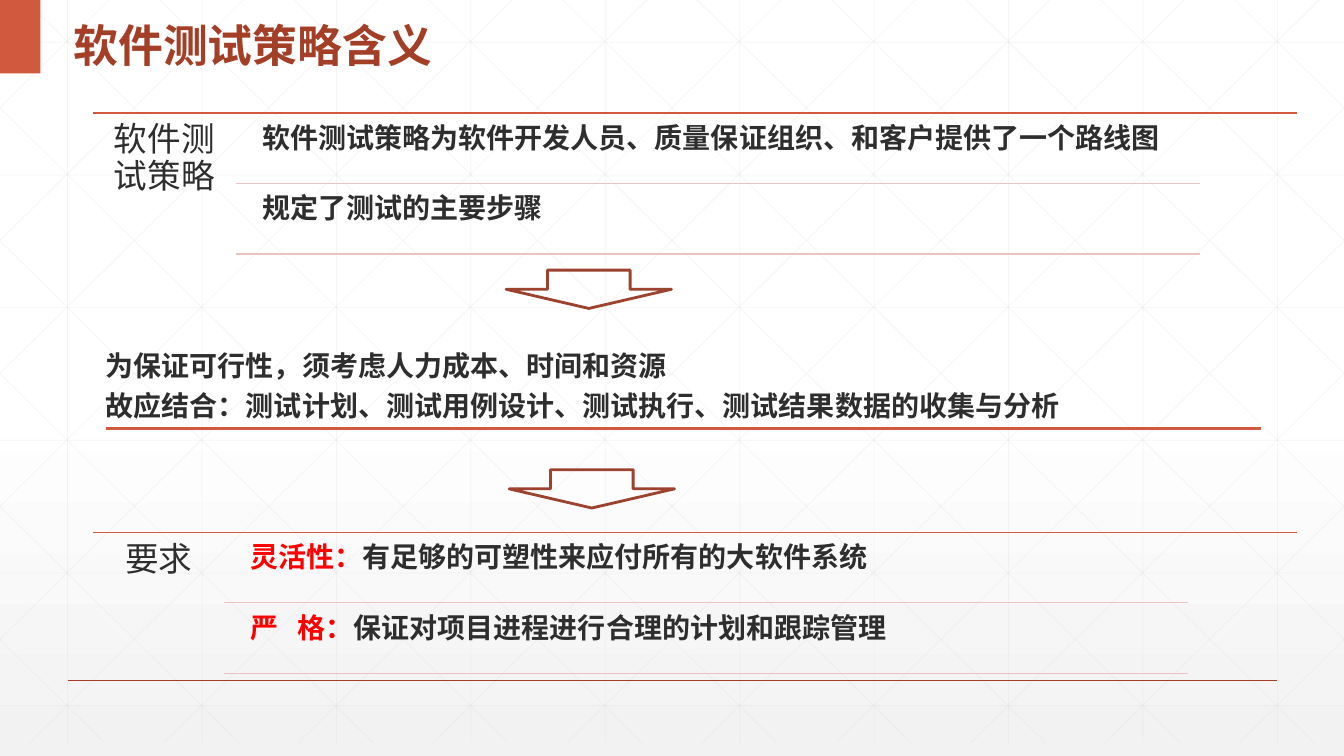
from dataclasses import dataclass

from lxml.etree import SubElement
from pptx import Presentation
from pptx.dml.color import RGBColor
from pptx.enum.shapes import MSO_CONNECTOR, MSO_SHAPE
from pptx.enum.text import MSO_ANCHOR, PP_ALIGN
from pptx.oxml.ns import qn
from pptx.util import Inches, Pt

HEADING_FONT = "Noto Sans CJK SC"
LABEL_FONT = "Arial"
DARK = "2D2E2D"
RED = "FF0000"
RUST = "A43F27"
ORANGE = "D15A3E"
PINK = "E9C4C0"
GRID = "D9D9D9"
WIDTH, HEIGHT = 13.33, 7.5
GRID_BOTTOM = 7.37


@dataclass
class Span:
    text: str
    color: str = DARK


@dataclass
class Style:
    size: int = 20
    font: str = HEADING_FONT
    bold: bool = True
    align: PP_ALIGN = PP_ALIGN.LEFT
    spacing: float = 0.9
    anchor: MSO_ANCHOR = MSO_ANCHOR.TOP
    inset_x: float = 0.08
    inset_y: float = 0.08
    tab: float = 0


@dataclass
class Section:
    top: float
    label: str
    label_width: float
    row_left: float
    rows: list[list[Span]]


ROW = Style(tab=0.47)
LABEL = Style(24, LABEL_FONT, False, PP_ALIGN.CENTER, inset_x=0.1, inset_y=0.1)
TITLE = Style(32, spacing=1.3, anchor=MSO_ANCHOR.MIDDLE, inset_x=0.1, inset_y=0.05)
BODY = Style(spacing=1.2, inset_x=0.1, inset_y=0.05)

SECTIONS = [
    Section(5.28, "要求", 1.31, 2.22, [
        [Span("灵活性：", RED), Span("有足够的可塑性来应付所有的大软件系统")],
        [Span("严\t格：", RED), Span("保证对项目进程进行合理的计划和跟踪管理")],
    ]),
    Section(1.12, "软件测试策略", 1.42, 2.34, [
        [Span("软件测试策略为软件开发人员、质量保证组织、和客户提供了一个路线图")],
        [Span("规定了测试的主要步骤")],
    ]),
]
ARROWS = [(5.02, 2.68), (5.05, 4.66)]


def rgb(color: str) -> RGBColor:
    return RGBColor.from_string(color)


def add_line(page, x1: float, y1: float, x2: float, y2: float,
             color: str, width: float = 1, alpha: int = 100) -> None:
    line = page.shapes.add_connector(
        MSO_CONNECTOR.STRAIGHT, Inches(x1), Inches(y1), Inches(x2), Inches(y2))
    line.line.color.rgb = rgb(color)
    line.line.width = Pt(width)
    properties = line._element.spPr
    if alpha < 100:
        tint = properties.find(".//" + qn("a:srgbClr"))
        SubElement(tint, qn("a:alpha"), val=str(alpha * 1000))
    SubElement(properties, qn("a:effectLst"))


def add_text(page, left: float, top: float, width: float, height: float,
             lines: list[list[Span]], style: Style) -> None:
    box = page.shapes.add_textbox(
        Inches(left), Inches(top), Inches(width), Inches(height))
    frame = box.text_frame
    frame.word_wrap = True
    frame.vertical_anchor = style.anchor
    frame.margin_left = frame.margin_right = Inches(style.inset_x)
    frame.margin_top = frame.margin_bottom = Inches(style.inset_y)
    for index, spans in enumerate(lines):
        para = frame.add_paragraph() if index else frame.paragraphs[0]
        para.alignment = style.align
        para.line_spacing = style.spacing
        if any("\t" in item.text for item in spans):
            tabs = SubElement(para._p.get_or_add_pPr(), qn("a:tabLst"))
            SubElement(tabs, qn("a:tab"), pos=str(Inches(style.tab)), algn="l")
        para.font.size = Pt(style.size)
        para.font.bold = style.bold
        para.font.name = style.font
        if len(spans) == 1:
            para.font.color.rgb = rgb(spans[0].color)
        for item in spans:
            span = para.add_run()
            span.text = item.text
            if len(spans) > 1:
                span.font.color.rgb = rgb(item.color)
            SubElement(span.font._element, qn("a:ea"), typeface=HEADING_FONT)


def add_background(page) -> None:
    fill = page.background.fill
    fill.gradient()
    fill.gradient_angle = 270
    stops = fill._fill._gradFill.find(qn("a:gsLst"))
    for stop in list(stops):
        stops.remove(stop)
    for position, color in ((0, "FFFFFF"), (53, "FFFFFF"), (100, "F2F2F2")):
        stop = SubElement(stops, qn("a:gs"), pos=str(position * 1000))
        SubElement(stop, qn("a:srgbClr"), val=color)


def add_grid(page) -> None:
    def grid_line(x1: float, y1: float, x2: float, y2: float) -> None:
        add_line(page, x1, y1, x2, y2, GRID, 0.5, 25)

    step = 4 / 3
    slope = GRID_BOTTOM / 7.455
    for column in range(10):
        x = 0.67 + column * step
        grid_line(x, 0, x, GRID_BOTTOM)
    for row in range(6):
        y = 0.42 + row * 1.316
        grid_line(0, y, WIDTH, y)
    for index in range(-5, 10):
        start = 0.25 + index * step
        x1, x2 = max(start, 0), min(start + 7.455, WIDTH)
        y1, y2 = (x1 - start) * slope, (x2 - start) * slope
        grid_line(x1, y1, x2, y2)
        grid_line(WIDTH - x1, y1, WIDTH - x2, y2)


def add_section(page, section: Section) -> None:
    add_line(page, 0.92, section.top, 12.86, section.top, ORANGE)
    add_text(page, 0.92, section.top, section.label_width, 1.44,
             [[Span(section.label)]], LABEL)
    for index, spans in enumerate(section.rows):
        top = section.top + 0.03 + index * 0.7
        add_text(page, section.row_left + 0.18, top, 9.38, 0.67, [spans], ROW)
        rule = top + 0.67
        add_line(page, section.row_left, rule, section.row_left + 9.56, rule, PINK)


def add_preset(page, kind: MSO_SHAPE, left: float, top: float,
               width: float, height: float, fill: str = "", line: str = "") -> None:
    shape = page.shapes.add_shape(
        kind, Inches(left), Inches(top), Inches(width), Inches(height))
    shape.shadow.inherit = False
    if fill:
        shape.fill.solid()
        shape.fill.fore_color.rgb = rgb(fill)
    else:
        shape.fill.background()
    if line:
        shape.line.color.rgb = rgb(line)
        shape.line.width = Pt(2)
    else:
        shape.line.fill.background()


def main() -> None:
    deck = Presentation()
    deck.slide_width, deck.slide_height = Inches(WIDTH), Inches(HEIGHT)
    page = deck.slides.add_slide(deck.slide_layouts[6])
    add_background(page)
    add_grid(page)
    add_line(page, 0.67, 6.75, 12.67, 6.75, RUST)
    add_preset(page, MSO_SHAPE.RECTANGLE, 0, 0, 0.4, 0.73, fill=ORANGE)
    add_text(page, 0.63, 0, 5.69, 0.73, [[Span("软件测试策略含义", RUST)]], TITLE)
    for section in SECTIONS:
        add_section(page, section)
    for left, top in ARROWS:
        add_preset(page, MSO_SHAPE.DOWN_ARROW, left, top, 1.64, 0.38, line="9B432E")
    add_text(page, 0.95, 3.34, 11.74, 0.91, [
        [Span("为保证可行性，须考虑人力成本、时间和资源")],
        [Span("故应结合：测试计划、测试用例设计、测试执行、测试结果数据的收集与分析")],
    ], BODY)
    add_line(page, 1.05, 4.25, 12.51, 4.25, ORANGE, 2)
    deck.save("out.pptx")


if __name__ == "__main__":
    main()
